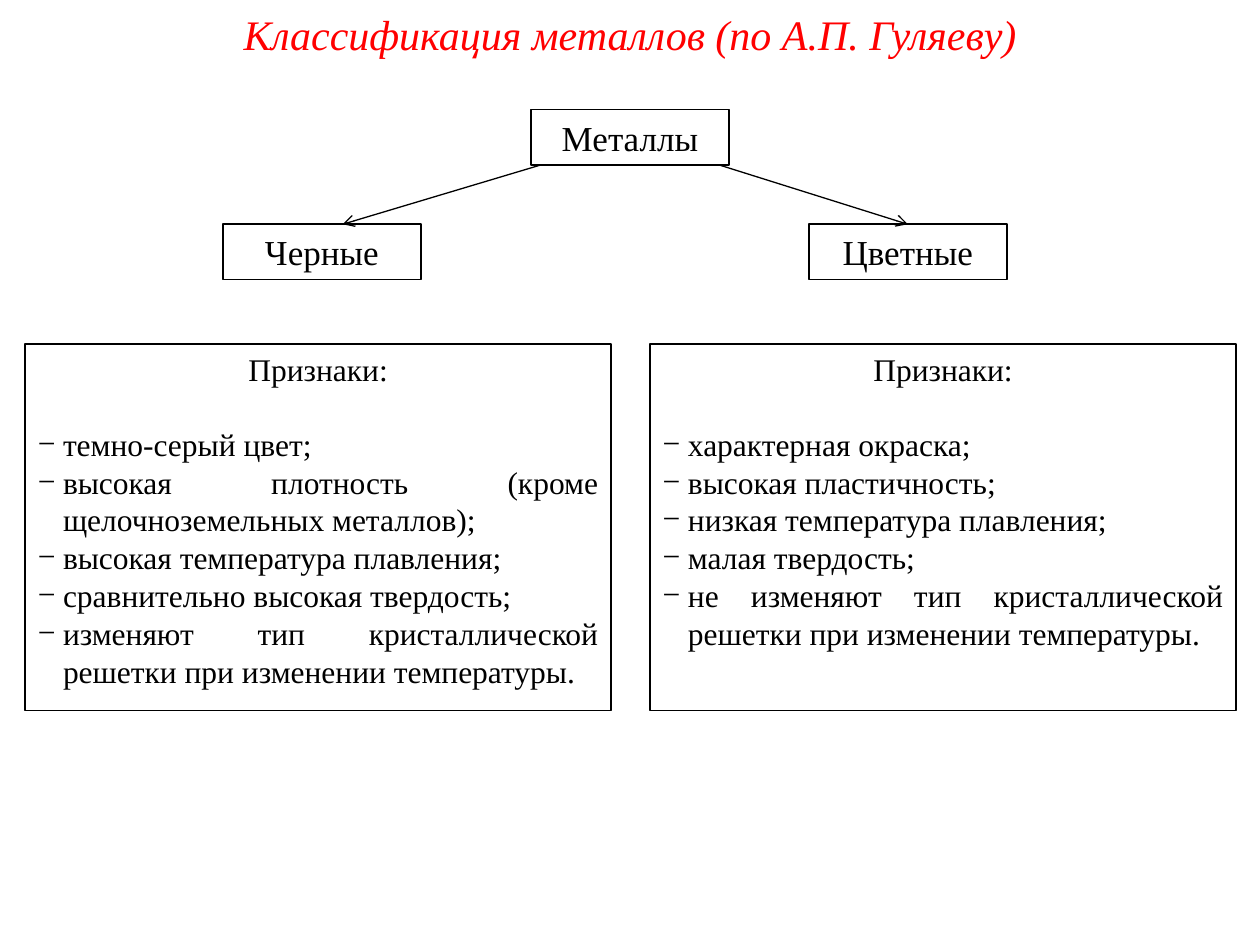
import pptx
import pptx.util
import pptx.dml.color
import pptx.enum.shapes
import pptx.enum.text
import lxml.etree

Inches, Pt = pptx.util.Inches, pptx.util.Pt
ALIGN = pptx.enum.text.PP_ALIGN
ANCHOR = pptx.enum.text.MSO_ANCHOR
FONT = "Times New Roman"
COLORS = {"title": "FF0000", "ink": "000000", "paper": "FFFFFF"}

# Content
TITLE = "Классификация металлов (по А.П. Гуляеву)"
ROOT = "Металлы"
HEAD = "Признаки:"
GROUPS = [
    {"name": "Черные", "left": 1.77, "start": 4.29, "end": 2.72,
     "signs": ["темно-серый цвет;",
               "высокая плотность (кроме щелочноземельных металлов);",
               "высокая температура плавления;",
               "сравнительно высокая твердость;",
               "изменяют тип кристаллической решетки при изменении температуры."]},
    {"name": "Цветные", "left": 6.42, "start": 5.71, "end": None,
     "signs": ["характерная окраска;",
               "высокая пластичность;",
               "низкая температура плавления;",
               "малая твердость;",
               "не изменяют тип кристаллической решетки при изменении температуры."]},
]

# Layout in inches
BOX_W, BOX_H = 1.57, 0.44
ROOT_TOP, NAME_TOP = 0.87, 1.78
LIST_LEFT, LIST_TOP, LIST_W, LIST_H, LIST_STEP = 0.2, 2.73, 4.65, 2.91, 4.96
INDENT = 0.2


def color(name):
    return pptx.dml.color.RGBColor.from_string(COLORS[name])


def place(shape, *box):
    shape.left, shape.top, shape.width, shape.height = map(Inches, box)


def style(para, size, align, ink="ink"):
    para.alignment = align
    para.space_before = Pt(0)
    para.font.name = FONT
    para.font.size = Pt(size)
    para.font.color.rgb = color(ink)


def outline(shape):
    shape.line.color.rgb = color("ink")
    shape.line.width = Pt(1)


def add_xml(parent, tag, **attrs):
    name = pptx.oxml.ns.qn(tag)
    return lxml.etree.SubElement(parent, name, attrs)


def set_bullet(para, mark=None):
    props = para._p.get_or_add_pPr()
    dent = Inches(INDENT) if mark else 0
    props.set("marL", str(dent))
    props.set("indent", str(-dent))
    if mark:
        add_xml(props, "a:buFont", typeface=FONT)
        add_xml(props, "a:buChar", char=mark)
    else:
        add_xml(props, "a:buNone")


def add_box(slide, text, left, top):
    box = slide.shapes.add_shape(pptx.enum.shapes.MSO_SHAPE.RECTANGLE,
                                 *map(Inches, (left, top, BOX_W, BOX_H)))
    box.shadow.inherit = False
    box.fill.background()
    outline(box)
    box.text_frame.text = text
    style(box.text_frame.paragraphs[0], 20, ALIGN.CENTER)
    return box


def add_arrow(slide, group, box):
    end = group["end"] or group["left"] + BOX_W / 2
    line = slide.shapes.add_connector(
        pptx.enum.shapes.MSO_CONNECTOR.STRAIGHT,
        *map(Inches, (group["start"], ROOT_TOP + BOX_H, end, NAME_TOP)))
    if group["end"] is None:
        line.end_connect(box, 0)
    line.line.color.rgb = color("ink")
    line.line.width = Pt(0.75)
    add_xml(line.line._get_or_add_ln(), "a:tailEnd", type="arrow")
    add_xml(line._element.spPr, "a:effectLst")


def fill_list(body, signs):
    body.fill.solid()
    body.fill.fore_color.rgb = color("paper")
    outline(body)
    frame = body.text_frame
    frame.auto_size = pptx.enum.text.MSO_AUTO_SIZE.NONE
    frame.vertical_anchor = ANCHOR.TOP
    head = frame.paragraphs[0]
    head.text = HEAD
    set_bullet(head)
    style(head, 18, ALIGN.CENTER)
    head.space_after = Pt(21)
    for sign in signs:
        para = frame.add_paragraph()
        para.text = sign
        set_bullet(para, "−")
        style(para, 18, ALIGN.JUSTIFY)


def main():
    deck = pptx.Presentation()
    deck.slide_width, deck.slide_height = Inches(10), Inches(7.5)
    slide = deck.slides.add_slide(deck.slide_layouts.get_by_name("Two Content"))
    title, *bodies = list(slide.placeholders)[:3]

    # Title
    place(title, 0.67, 0.02, 8.66, 0.5)
    title.text_frame.text = TITLE
    title.text_frame.auto_size = pptx.enum.text.MSO_AUTO_SIZE.NONE
    para = title.text_frame.paragraphs[0]
    style(para, 24, ALIGN.CENTER, "title")
    para.font.italic = True

    # Tree and lists of signs
    add_box(slide, ROOT, (10 - BOX_W) / 2, ROOT_TOP)
    for col, (group, body) in enumerate(zip(GROUPS, bodies)):
        box = add_box(slide, group["name"], group["left"], NAME_TOP)
        add_arrow(slide, group, box)
        place(body, LIST_LEFT + col * LIST_STEP, LIST_TOP, LIST_W, LIST_H)
        fill_list(body, group["signs"])

    deck.save("out.pptx")


if __name__ == "__main__":
    main()
